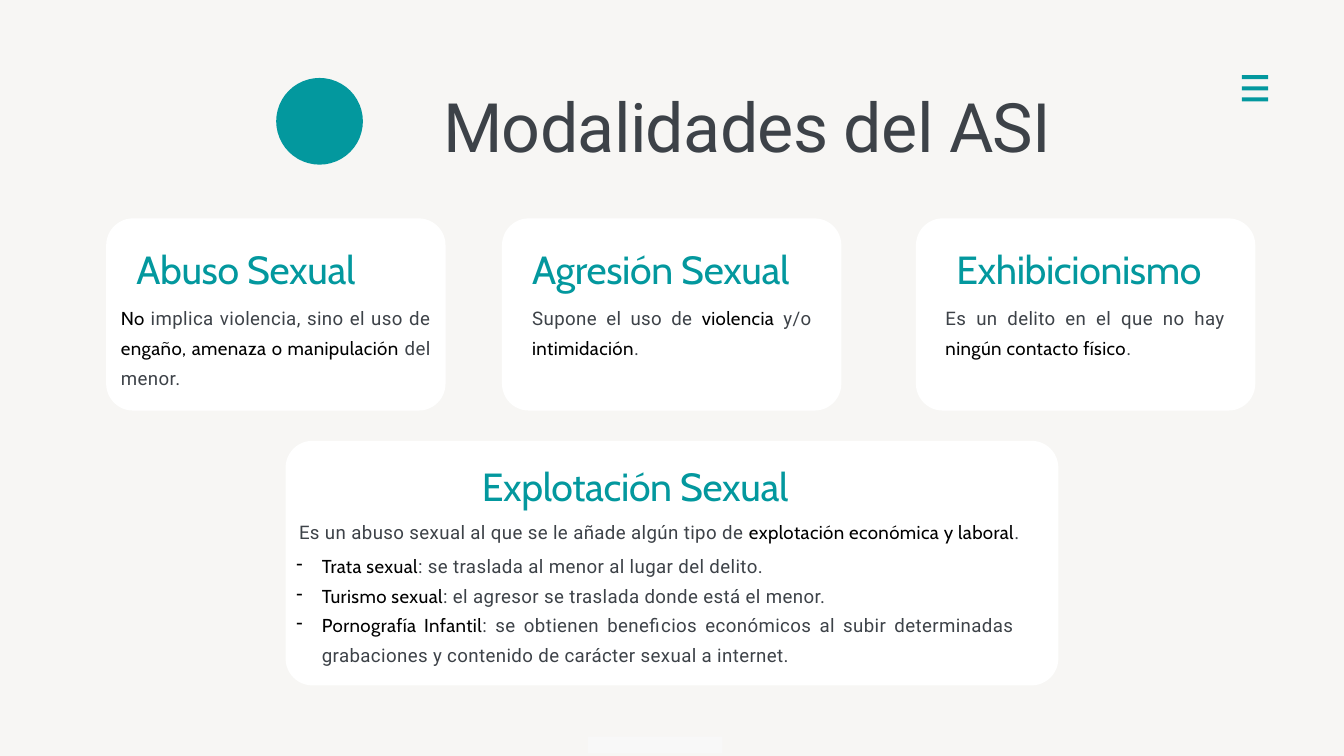
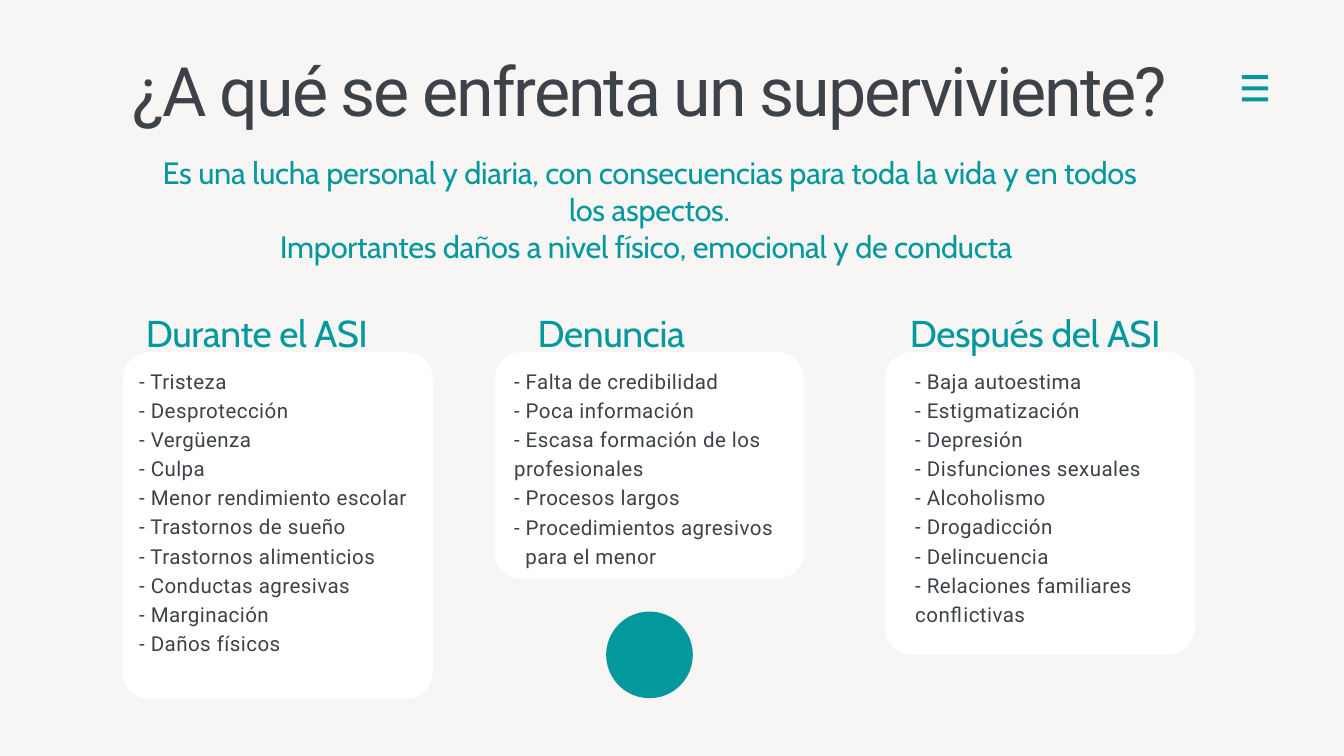
from lxml.etree import SubElement
from pptx import Presentation
from pptx.dml.color import RGBColor
from pptx.enum.shapes import MSO_SHAPE as Kind
from pptx.enum.text import MSO_AUTO_SIZE as Fit, PP_ALIGN as Align
from pptx.oxml.ns import qn
from pptx.util import Inches, Pt

# Shared look
hue = RGBColor.from_string
PAPER, TEAL, INK, WHITE, BLACK = "F7F6F4", "03989E", "3D4248", "FFFFFF", "000000"
PALE = "F8F8F8"
HEAD, BODY = "Cabin", "Roboto"
LEFT, MID, FULL = Align.LEFT, Align.CENTER, Align.JUSTIFY
BEND = 0.4  # corner radius of the cards

deck = Presentation()
deck.slide_width, deck.slide_height = Inches(20), Inches(11.25)
fill = deck.slide_master.background.fill
fill.solid()
fill.fore_color.rgb = hue(PAPER)


def draw(slide, kind, spot, color):
    shape = slide.shapes.add_shape(kind, *map(Inches, spot))
    shape.shadow.inherit = False
    shape.fill.solid()
    shape.fill.fore_color.rgb = hue(color)
    shape.line.fill.background()
    if kind == Kind.ROUNDED_RECTANGLE:
        shape.adjustments[0] = BEND / min(spot[2:])


def write(slide, spot, lines, size, font, color, track, lead=None,
          align=LEFT, hang=0, mark=None):
    """Text box; words between asterisks are black and in the heading font."""
    frame = slide.shapes.add_textbox(*map(Inches, spot)).text_frame
    frame.word_wrap = True
    frame.auto_size = Fit.SHAPE_TO_FIT_TEXT
    frame.margin_left = frame.margin_right = 0
    frame.margin_top = frame.margin_bottom = 0
    for row, line in enumerate(lines):
        para = frame.add_paragraph() if row else frame.paragraphs[0]
        para.alignment = align
        para.font.size = Pt(size)
        if lead:
            para.line_spacing = Pt(lead)
        for turn, words in enumerate(line.split("*")):
            if not words:
                continue
            strong = turn % 2
            run = para.add_run()
            run.text = words
            run.font.size = Pt(size)
            run.font.name = HEAD if strong else font
            run.font.color.rgb = hue(BLACK if strong else color)
            run.font._element.set("spc", str(round(track * 100)))
        if hang:
            props = para._p.get_or_add_pPr()
            props.set("marL", str(Inches(hang)))
            props.set("indent", str(-Inches(hang)))
            if mark:
                bullet = SubElement(props, qn("a:buChar"))
                bullet.set("char", mark)
                # the bullet must come before the default run properties
                props.find(qn("a:defRPr")).addprevious(bullet)


# Both slides: menu icon and foot strip
kinds, facing = [deck.slides.add_slide(deck.slide_layouts[6]) for _ in range(2)]
for slide in (kinds, facing):
    for row in range(3):
        draw(slide, Kind.RECTANGLE, (18.48, 1.12 + row * 0.165, 0.39, 0.06), TEAL)
    draw(slide, Kind.RECTANGLE, (8.75, 10.96, 2, 0.25), PALE)

# Slide 1: title and dot
draw(kinds, Kind.OVAL, (4.11, 1.16, 1.29, 1.29), TEAL)
write(kinds, (5.72, 1.05, 10.8, 1.37), ["Modalidades del ASI"],
      73, BODY, INK, -0.7, 102.2, MID)

# Slide 1: three cards (card x, head x, head width, align, text x, text width)
cards = [
    (1.58, 2.03, 3.9, LEFT, 1.8, 4.61, "Abuso Sexual",
     "*No *implica violencia, sino el uso de "
     "*engaño, amenaza o manipulación* del menor."),
    (7.47, 7.92, 4.61, LEFT, 7.92, 4.16, "Agresión Sexual",
     "Supone el uso de *violencia* y/o *intimidación*."),
    (13.63, 13.75, 4.61, MID, 14.07, 4.16, "Exhibicionismo",
     "Es un delito en el que no hay *ningún contacto físico*."),
]
for x, headx, headw, side, textx, textw, head, text in cards:
    draw(kinds, Kind.ROUNDED_RECTANGLE, (x, 3.25, 5.05, 2.86), WHITE)
    write(kinds, (headx, 3.53, headw, 0.78), [head], 42, HEAD, TEAL, -0.4, 58.8, side)
    write(kinds, (textx, 4.46, textw, 1.3), [text], 20, BODY, INK, 0.4, 32, FULL)

# Slide 1: wide card
draw(kinds, Kind.ROUNDED_RECTANGLE, (4.25, 6.56, 11.5, 3.64), WHITE)
write(kinds, (7.17, 6.77, 5.17, 0.78), ["Explotación Sexual"],
      42, HEAD, TEAL, -0.4, 58.8)
write(kinds, (4.45, 7.64, 11.3, 0.41),
      ["Es un abuso sexual al que se le añade algún tipo de "
       "*explotación económica y laboral*."], 20, BODY, INK, 0.4, 32)
forms = [
    "*Trata sexual*: se traslada al menor al lugar del delito.",
    "*Turismo sexual*: el agresor se traslada donde está el menor.",
    "*Pornografía Infantil*: se obtienen beneficios económicos al subir "
    "determinadas grabaciones y contenido de carácter sexual a internet.",
]
write(kinds, (4.41, 8.14, 10.68, 1.75), forms, 20, BODY, INK, 0.4, 32, FULL, 0.38, "-")

# Slide 2: title and lead text
write(facing, (0.67, 0.79, 18, 1.16), ["¿A qué se enfrenta un superviviente?"],
      73, BODY, INK, -2.2, 82.5, MID)
write(facing, (2.23, 2.29, 14.87, 1.67),
      ["Es una lucha personal y diaria, con consecuencias para toda la vida "
       "y en todos los aspectos.",
       "Importantes daños a nivel físico, emocional y de conducta "],
      33, HEAD, TEAL, -0.3, align=MID)

# Slide 2: three lists (card x, card height, head x, text x, text width)
stages = [
    (1.83, 5.16, 2.17, 2.07, 4.12, "Durante el ASI",
     ["Tristeza", "Desprotección", "Vergüenza", "Culpa",
      "Menor rendimiento escolar", "Trastornos de sueño",
      "Trastornos alimenticios", "Conductas agresivas", "Marginación",
      "Daños físicos"]),
    (7.36, 3.37, 8, 7.65, 4.04, "Denuncia",
     ["Falta de credibilidad", "Poca información",
      "Escasa formación de los profesionales", "Procesos largos"]),
    (13.17, 4.5, 13.54, 13.62, 3.84, "Después del ASI",
     ["Baja autoestima", "Estigmatización", "Depresión",
      "Disfunciones sexuales", "Alcoholismo", "Drogadicción", "Delincuencia",
      "Relaciones familiares conflictivas"]),
]
for x, tall, headx, textx, textw, head, items in stages:
    draw(facing, Kind.ROUNDED_RECTANGLE, (x, 5.24, 4.61, tall), WHITE)
    write(facing, (headx, 4.46, 4.23, 0.78), [head], 40, HEAD, TEAL, -0.4, 58.8)
    write(facing, (textx, 5.42, textw, len(items) * 0.43),
          ["- " + item for item in items], 22, BODY, INK, 0.5, 31.2)

# Slide 2: last item of the middle list, with its second line indented
write(facing, (7.65, 7.59, 4.04, 0.87), ["- Procedimientos agresivos para el menor"],
      22, BODY, INK, 0.5, 31.2, hang=0.17)
draw(facing, Kind.OVAL, (9.02, 9.1, 1.29, 1.29), TEAL)

deck.save("out.pptx")
